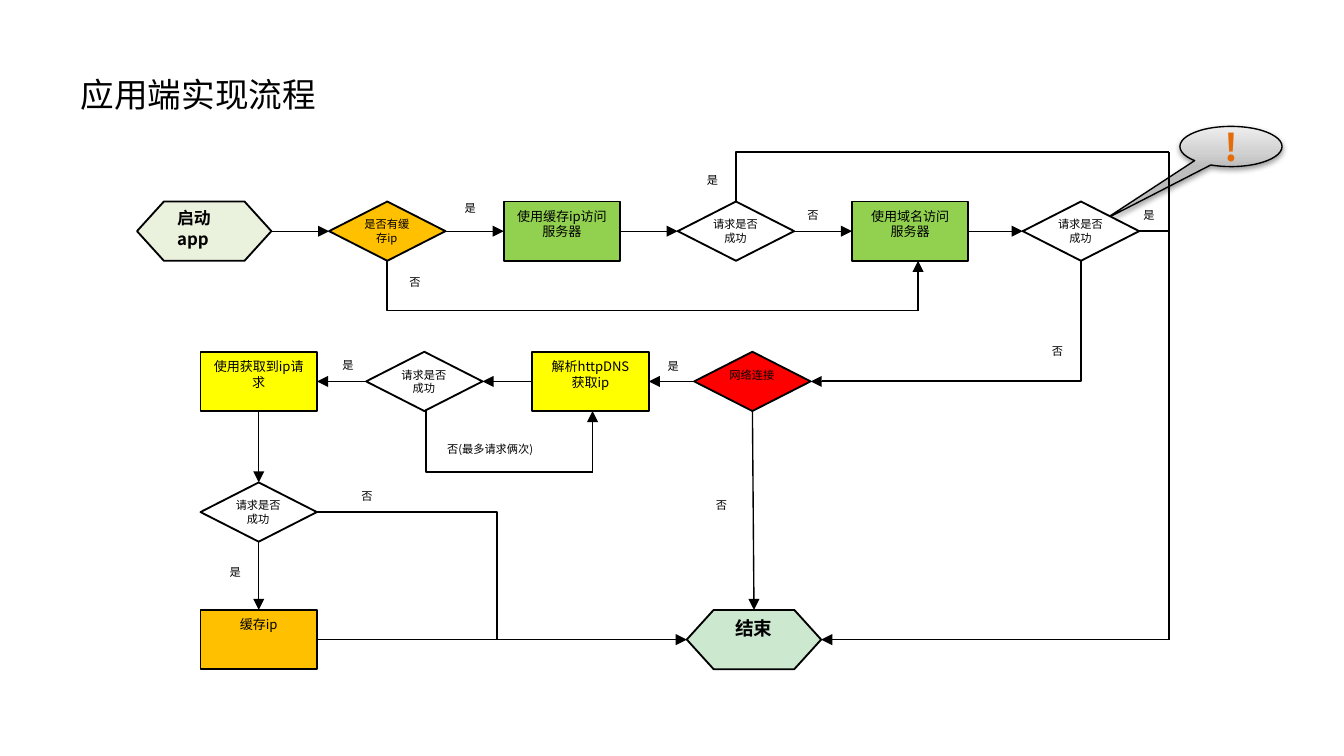
from dataclasses import dataclass
from typing import Optional

import lxml.etree
import pptx
import pptx.dml.color
import pptx.enum.shapes
import pptx.enum.text
import pptx.oxml.ns
import pptx.util

Cm, Pt = pptx.util.Cm, pptx.util.Pt
qn = pptx.oxml.ns.qn
MSO = pptx.enum.shapes.MSO_SHAPE
ALIGN = pptx.enum.text.PP_ALIGN
ANCHOR = pptx.enum.text.MSO_ANCHOR
CONNECTOR = pptx.enum.shapes.MSO_CONNECTOR

FONT = "Noto Sans CJK SC"
COLORS = {
    "black": "000000", "white": "FFFFFF", "start": "EAF1DD", "end": "CCE8CF",
    "cache": "FFC000", "request": "92D050", "dns": "FFFF00", "network": "FF0000",
    "alert": "E46C0A",
}
CALLOUT_STOPS = [(0, "BDBDBD"), (35, "D1D1D1"), (100, "EEEEEE")]
ROW_1, ROW_2, ROW_3, ROW_4 = 3.81, 6.65, 9.12, 11.53
EXIT_X = 22.1


@dataclass
class Node:
    kind: MSO
    x: float
    y: float
    text: str
    fill: str
    w: float = 2.2
    h: float = 1.12
    size: float = 7
    bold: bool = False
    align: ALIGN = ALIGN.CENTER

    @property
    def left(self) -> tuple:
        return self.x, self.y + self.h / 2

    @property
    def right(self) -> tuple:
        return self.x + self.w, self.y + self.h / 2

    @property
    def top(self) -> tuple:
        return self.x + self.w / 2, self.y

    @property
    def bottom(self) -> tuple:
        return self.x + self.w / 2, self.y + self.h


@dataclass
class Label:
    x: float
    y: float
    text: str
    w: float = 0.71
    h: float = 0.55
    align: ALIGN = ALIGN.CENTER


@dataclass
class Link:
    start: tuple
    end: tuple
    arrow: bool = True
    bend: Optional[str] = None
    width: float = 0.75


def rgb(name: str) -> pptx.dml.color.RGBColor:
    return pptx.dml.color.RGBColor.from_string(COLORS[name])


def write(tf, text: str, size: float, color: str = "black", bold: bool = False,
          align: ALIGN = ALIGN.CENTER) -> None:
    tf.word_wrap = True
    tf.text = text
    p = tf.paragraphs[0]
    p.alignment = align
    r = p.runs[0]
    r.font.size, r.font.bold, r.font.name = Pt(size), bold, FONT
    r.font.color.rgb = rgb(color)
    ea = lxml.etree.Element(qn("a:ea"), typeface=FONT)
    r.font._element.find(qn("a:latin")).addnext(ea)


def add_label(s, label: Label) -> None:
    sp = s.shapes.add_textbox(Cm(label.x), Cm(label.y), Cm(label.w), Cm(label.h))
    write(sp.text_frame, label.text, 6, align=label.align)


def add_node(s, node: Node) -> None:
    sp = s.shapes.add_shape(node.kind, Cm(node.x), Cm(node.y), Cm(node.w), Cm(node.h))
    sp.shadow.inherit = False
    sp.fill.solid()
    sp.fill.fore_color.rgb = rgb(node.fill)
    sp.line.color.rgb = rgb("black")
    sp.line.width = Pt(1)
    if node.kind == MSO.FLOWCHART_DECISION:
        add_label(s, Label(node.x + 0.33, node.y + 0.18, node.text, 1.52, 0.94))
    else:
        sp.text_frame.vertical_anchor = ANCHOR.TOP
        write(sp.text_frame, node.text, node.size, bold=node.bold, align=node.align)


def add_link(s, link: Link) -> None:
    kind = CONNECTOR.ELBOW if link.bend else CONNECTOR.STRAIGHT
    points = [Cm(v) for v in (*link.start, *link.end)]
    c = s.shapes.add_connector(kind, *points)
    c.line.color.rgb = rgb("black")
    c.line.width = Pt(link.width)
    spPr = c._element.spPr
    if link.bend:
        spPr.find(qn("a:prstGeom")).set("prst", link.bend)
    if link.arrow:
        lxml.etree.SubElement(spPr.find(qn("a:ln")), qn("a:tailEnd"), type="triangle")
    lxml.etree.SubElement(spPr, qn("a:effectLst"))


def add_callout(s) -> None:
    sp = s.shapes.add_shape(MSO.OVAL_CALLOUT, Cm(22.3), Cm(2.39), Cm(1.93), Cm(0.76))
    sp.adjustments[0], sp.adjustments[1] = -1.24, 1.82
    sp.line.color.rgb = rgb("black")
    sp.line.width = Pt(0.75)
    sp.fill.gradient()
    sp.fill.gradient_angle = 90
    sub = lxml.etree.SubElement
    stops = sp._element.spPr.find(qn("a:gradFill")).find(qn("a:gsLst"))
    for stop in list(stops):
        stops.remove(stop)
    for pos, color in CALLOUT_STOPS:
        stop = sub(stops, qn("a:gs"), pos=str(pos * 1000))
        sub(stop, qn("a:srgbClr"), val=color)
    sp.shadow.inherit = False
    shadow = sub(sp._element.spPr.find(qn("a:effectLst")), qn("a:outerShdw"),
                 blurRad=str(Pt(3.1)), dist=str(Pt(1.6)), dir="5400000", rotWithShape="0")
    sub(sub(shadow, qn("a:srgbClr"), val=COLORS["black"]), qn("a:alpha"), val="38000")
    sp.text_frame.vertical_anchor = ANCHOR.MIDDLE
    write(sp.text_frame, "!", 20, "alert", True)


def bend(start: tuple, end: tuple, kind: str = "bentConnector2") -> Link:
    return Link(start, end, False, kind, 1)


DECISION, PROCESS, TERMINAL = MSO.FLOWCHART_DECISION, MSO.FLOWCHART_PROCESS, MSO.FLOWCHART_PREPARATION
SUCCESS = "请求是否成功"

start = Node(TERMINAL, 2.59, ROW_1, "启动app", "start", 2.54, size=9, bold=True, align=ALIGN.LEFT)
has_cache = Node(DECISION, 6.22, ROW_1, "是否有缓存ip", "cache")
use_cache = Node(PROCESS, 9.52, ROW_1, "使用缓存ip访问服务器", "request")
cache_ok = Node(DECISION, 12.81, ROW_1, SUCCESS, "white")
use_domain = Node(PROCESS, 16.1, ROW_1, "使用域名访问服务器", "request")
domain_ok = Node(DECISION, 19.33, ROW_1, SUCCESS, "white")
network = Node(DECISION, 13.12, ROW_2, "网络连接", "network")
resolve = Node(PROCESS, 10.06, ROW_2, "解析httpDNS获取ip", "dns")
resolve_ok = Node(DECISION, 6.92, ROW_2, SUCCESS, "white")
use_ip = Node(PROCESS, 3.79, ROW_2, "使用获取到ip请求", "dns")
ip_ok = Node(DECISION, 3.79, ROW_3, SUCCESS, "white")
save_ip = Node(PROCESS, 3.79, ROW_4, "缓存ip", "cache")
end = Node(TERMINAL, 12.98, ROW_4, "结束", "end", 2.54, size=10, bold=True)

top_row = [start, has_cache, use_cache, cache_ok, use_domain, domain_ok]
middle_row = [network, resolve, resolve_ok, use_ip]
left_column = [use_ip, ip_ok, save_ip]

links = [Link(a.right, b.left) for a, b in zip(top_row, top_row[1:])]
links += [Link(a.left, b.right) for a, b in zip(middle_row, middle_row[1:])]
links += [Link(a.bottom, b.top) for a, b in zip(left_column, left_column[1:])]
links += [
    Link(save_ip.right, end.left),
    Link(network.bottom, end.top),
    bend((11.2, 8.92), (8.06, 7.77)),
    Link((11.2, 8.92), (11.2, 7.77)),
    bend(ip_ok.right, (12.8, 12.09), "bentConnector3"),
    bend(domain_ok.right, (EXIT_X, 12.09)),
    Link((EXIT_X, 12.09), end.right),
    bend((EXIT_X, 2.87), cache_ok.top),
    Link((EXIT_X, 2.87), (EXIT_X, 4.75), False, width=1),
    bend((17.35, 5.87), has_cache.bottom),
    Link((17.35, 5.87), (17.35, 4.93)),
    bend((15.54, 7.21), domain_ok.bottom),
    Link((16.15, 7.21), network.right),
]

YES = [(12.37, 6.67), (6.22, 6.65), (4.09, 10.57), (21.36, 3.81), (13.11, 3.15), (8.53, 3.68)]
NO = [(15.01, 3.81), (19.63, 6.38), (13.28, 9.3), (6.58, 9.12), (7.49, 5.08)]
labels = [Label(x, y, "是") for x, y in YES] + [Label(x, y, "否") for x, y in NO]
labels.append(Label(8.2, 8.23, "否(最多请求俩次)", 2.82, align=ALIGN.LEFT))

prs = pptx.Presentation()
prs.slide_width, prs.slide_height = Cm(25.4), Cm(14.29)
s = prs.slides.add_slide(prs.slide_layouts[5])
title = s.shapes.title
title.left, title.top, title.width, title.height = Cm(1.27), Cm(0.58), Cm(22.86), Cm(2.39)
title.text_frame.vertical_anchor = ANCHOR.MIDDLE
write(title.text_frame, "应用端实现流程", 18, align=ALIGN.LEFT)
add_callout(s)
for node in top_row + middle_row + [ip_ok, save_ip, end]:
    add_node(s, node)
for link in links:
    add_link(s, link)
for label in labels:
    add_label(s, label)
prs.save("out.pptx")
